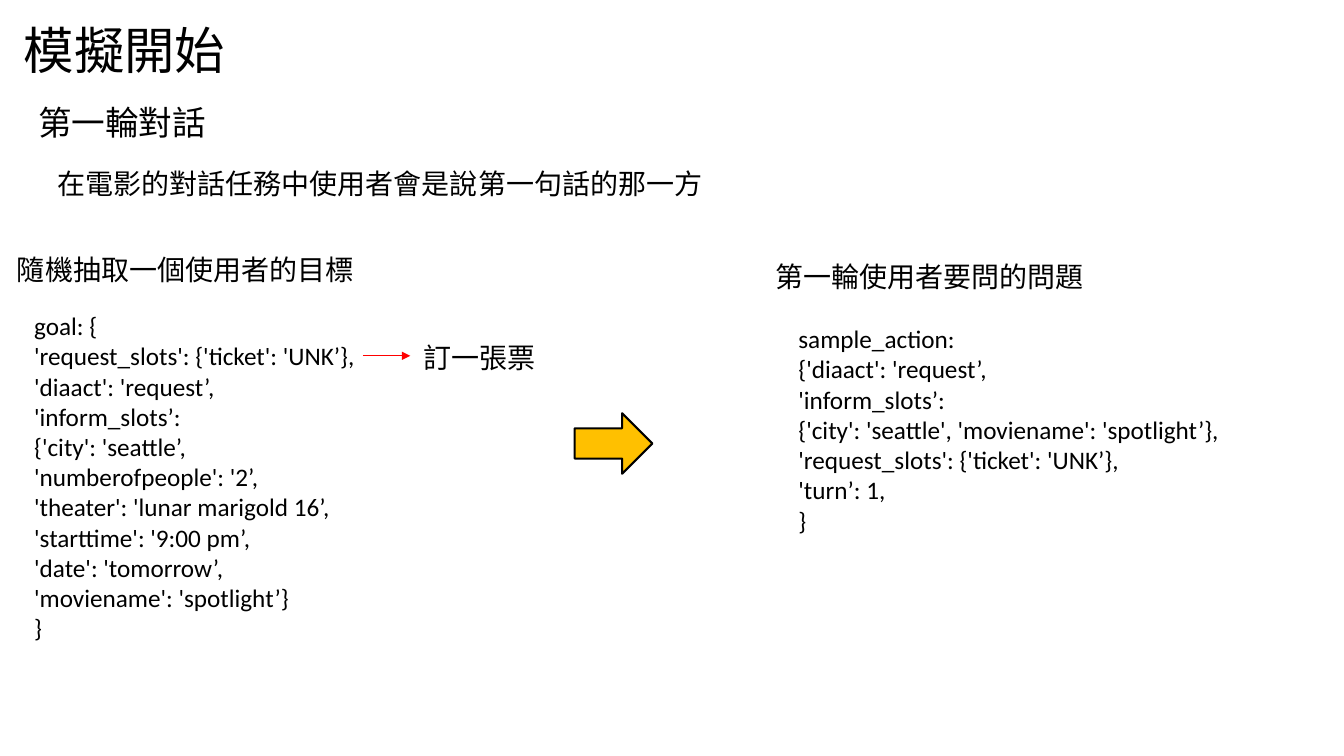
from lxml.etree import SubElement
from pptx import Presentation
from pptx.dml.color import RGBColor
from pptx.enum.shapes import MSO_CONNECTOR, MSO_SHAPE
from pptx.enum.text import MSO_AUTO_SIZE, PP_ALIGN
from pptx.oxml.ns import qn
from pptx.util import Pt

PX = 9144  # 100 px to the inch
SIZE = (1333, 750)
BLACK, RED, GOLD = "000000", "FF0000", "FFC000"
HAN, LATIN = "Noto Sans CJK SC", "Calibri"

# text, box (left, top, width, height), point size, alignment
LABELS = [
    ("模擬開始", (-27, 14, 301, 71), 36, PP_ALIGN.CENTER),
    ("第一輪對話", (28, 96, 228, 50), 24, PP_ALIGN.LEFT),
    ("在電影的對話任務中使用者會是說第一句話的那一方", (47, 160, 673, 44), 20, PP_ALIGN.LEFT),
    ("隨機抽取一個使用者的目標", (7, 246, 382, 44), 20, PP_ALIGN.LEFT),
    ("訂一張票", (410, 333, 194, 44), 20, PP_ALIGN.LEFT),
    ("第一輪使用者要問的問題", (759, 253, 426, 44), 20, PP_ALIGN.LEFT),
]
GOAL = """goal: {
'request_slots': {'ticket': 'UNK’},
'diaact': 'request’,
'inform_slots’:
{'city': 'seattle’,
'numberofpeople': '2’,
'theater': 'lunar marigold 16’,
'starttime': '9:00 pm’,
'date': 'tomorrow’,
'moviename': 'spotlight’}
}"""
ACTION = """sample_action:
{'diaact': 'request’,
'inform_slots’:
{'city': 'seattle', 'moviename': 'spotlight’},
'request_slots': {'ticket': 'UNK’},
'turn’: 1,
}"""
CODES = [(GOAL, (24, 303, 339, 344)), (ACTION, (782, 316, 515, 222))]
POINTER = (360, 353, 407, 353)
ARROW = (570, 410, 77, 60)


def emu(lengths):
    return [n * PX for n in lengths]


def color(code):
    return RGBColor.from_string(code)


def add_text(slide, text, box, size, font, align=PP_ALIGN.LEFT):
    frame = slide.shapes.add_textbox(*emu(box)).text_frame
    frame.word_wrap = True
    frame.auto_size = MSO_AUTO_SIZE.SHAPE_TO_FIT_TEXT
    frame.text = text
    for para in frame.paragraphs:
        para.alignment = align
        for run in para.runs:
            run.font.size = Pt(size)
            run.font.name = font
            run.font.color.rgb = color(BLACK)
            if font == HAN:
                SubElement(run.font._element, qn("a:ea"), typeface=font)


def add_pointer(slide, ends):
    line = slide.shapes.add_connector(MSO_CONNECTOR.STRAIGHT, *emu(ends))
    line.line.color.rgb = color(RED)
    line.line.width = Pt(0.5)
    SubElement(line.line._get_or_add_ln(), qn("a:tailEnd"), type="triangle")
    SubElement(line._element.spPr, qn("a:effectLst"))


def add_arrow(slide, box):
    arrow = slide.shapes.add_shape(MSO_SHAPE.RIGHT_ARROW, *emu(box))
    arrow.shadow.inherit = False
    arrow.fill.solid()
    arrow.fill.fore_color.rgb = color(GOLD)
    arrow.line.color.rgb = color(BLACK)
    arrow.line.width = Pt(1.5)


def main():
    deck = Presentation()
    deck.slide_width, deck.slide_height = emu(SIZE)
    slide = deck.slides.add_slide(deck.slide_layouts[6])
    for text, box, size, align in LABELS:
        add_text(slide, text, box, size, HAN, align)
    for text, box in CODES:
        add_text(slide, text, box, 18, LATIN)
    add_pointer(slide, POINTER)
    add_arrow(slide, ARROW)
    deck.save("out.pptx")


if __name__ == "__main__":
    main()
